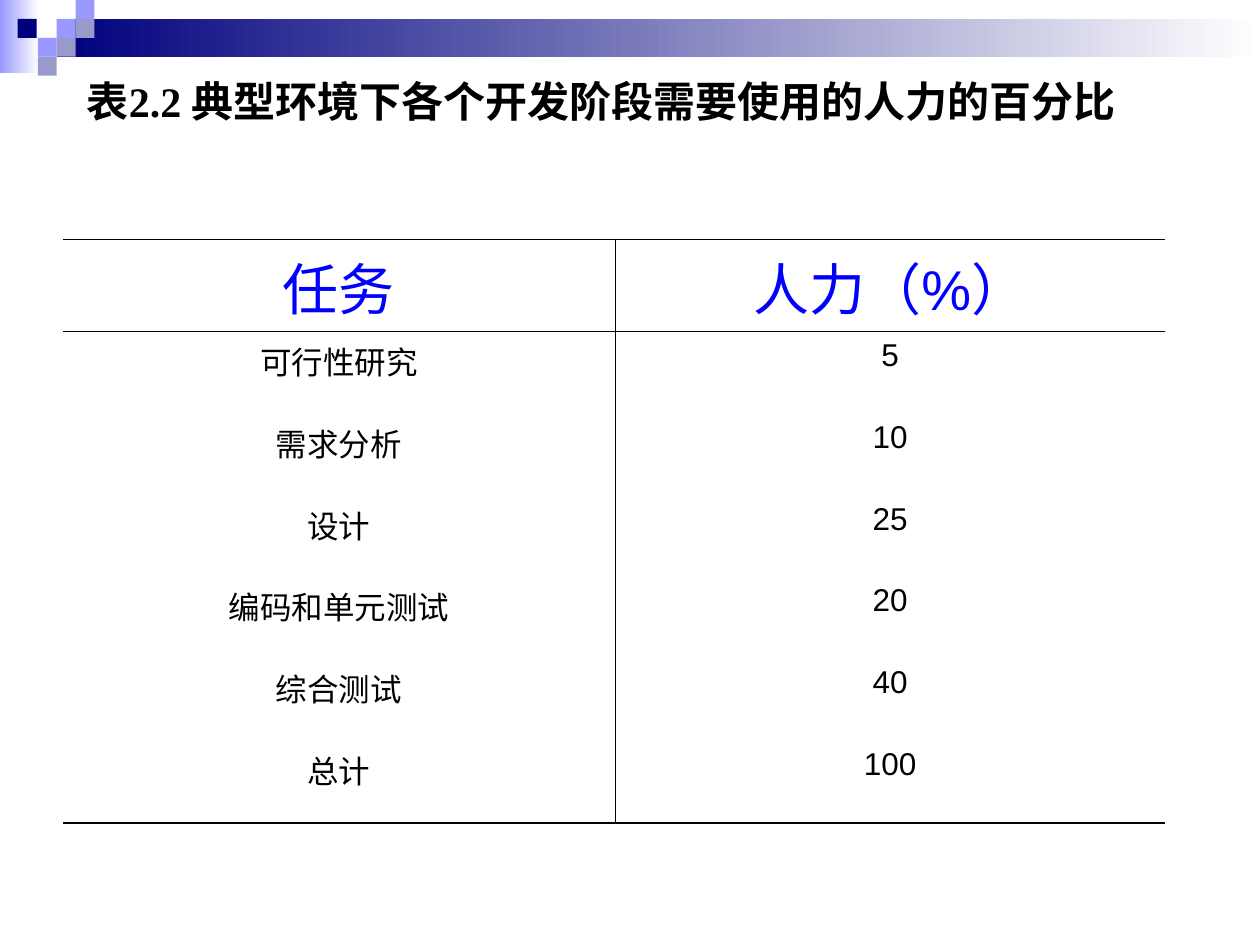
from lxml.etree import SubElement
from pptx import Presentation
from pptx.dml.color import RGBColor
from pptx.enum.shapes import MSO_SHAPE
from pptx.enum.text import MSO_ANCHOR, PP_ALIGN
from pptx.oxml.ns import qn
from pptx.util import Inches, Pt

# Content
TITLE = "表2.2 典型环境下各个开发阶段需要使用的人力的百分比"
ROWS = [
    ("任务", "人力（%）"),
    ("可行性研究", "5"),
    ("需求分析", "10"),
    ("设计", "25"),
    ("编码和单元测试", "20"),
    ("综合测试", "40"),
    ("总计", "100"),
]

# Header decoration: left, top, width, height, colour
NAVY, LILAC, GREY_BLUE = "00007D", "9999FF", "9999CC"
GRADIENT_BARS = [(0, 0, 0.31, 0.58, LILAC), (0.45, 0.15, 9.55, 0.3, NAVY)]
SQUARE = 0.15
SQUARES = [
    (0.45, 0.15, LILAC),
    (0.6, 0, LILAC),
    (0.6, 0.15, GREY_BLUE),
    (0.3, 0.3, LILAC),
    (0.14, 0.15, NAVY),
    (0.45, 0.3, GREY_BLUE),
    (0.3, 0.45, GREY_BLUE),
]

# Table layout
COLUMN_WIDTHS = (4.38, 4.37)
HEADER_HEIGHT, ROW_HEIGHT = 0.73, 0.65
THIN, THICK = 0.45, 1.08


def color(value):
    return RGBColor.from_string(value)


def add_rectangle(slide, left, top, width, height):
    shape = slide.shapes.add_shape(
        MSO_SHAPE.RECTANGLE, Inches(left), Inches(top), Inches(width), Inches(height))
    shape.shadow.inherit = False
    shape.line.fill.background()
    return shape


def add_run(paragraph, text, size, font_name, text_color, bold=False):
    run = paragraph.add_run()
    run.text = text
    run.font.size = Pt(size)
    run.font.name = font_name
    run.font.bold = bold
    run.font.color.rgb = color(text_color)


def set_borders(cell, widths):
    """Draw the sides named in widths (L, R, T, B) and clear the others."""
    properties = cell._tc.get_or_add_tcPr()
    for index, side in enumerate("LRTB"):
        width = widths.get(side)
        line = SubElement(properties, qn(f"a:ln{side}"))
        properties.insert(index, line)
        if width:
            line.set("w", str(Pt(width)))
            fill = SubElement(line, qn("a:solidFill"))
            SubElement(fill, qn("a:srgbClr")).set("val", "000000")
        else:
            SubElement(line, qn("a:noFill"))


def add_decoration(slide):
    for left, top, width, height, start in GRADIENT_BARS:
        fill = add_rectangle(slide, left, top, width, height).fill
        fill.gradient()
        fill.gradient_angle = 0
        for stop, value in zip(fill.gradient_stops, (start, "FFFFFF")):
            stop.color.rgb = color(value)
    for left, top, value in SQUARES:
        fill = add_rectangle(slide, left, top, SQUARE, SQUARE).fill
        fill.solid()
        fill.fore_color.rgb = color(value)


def add_title(slide):
    box = slide.shapes.add_textbox(Inches(0.59), Inches(0.52), Inches(8.98), Inches(0.55))
    frame = box.text_frame
    frame.word_wrap = True
    frame.vertical_anchor = MSO_ANCHOR.MIDDLE
    add_run(frame.paragraphs[0], TITLE, 24, "Times New Roman", "000000", bold=True)


def add_effort_table(slide):
    last = len(ROWS) - 1
    heights = [HEADER_HEIGHT] + [ROW_HEIGHT] * last
    table = slide.shapes.add_table(
        len(ROWS), len(COLUMN_WIDTHS), Inches(0.5), Inches(1.9),
        Inches(sum(COLUMN_WIDTHS)), Inches(sum(heights))).table
    table.first_row = table.horz_banding = False
    for column, width in zip(table.columns, COLUMN_WIDTHS):
        column.width = Inches(width)
    for row_index, (texts, height) in enumerate(zip(ROWS, heights)):
        table.rows[row_index].height = Inches(height)
        size, text_color = (32, "0000FF") if row_index == 0 else (18, "000000")
        for column_index, text in enumerate(texts):
            cell = table.cell(row_index, column_index)
            cell.fill.background()
            paragraph = cell.text_frame.paragraphs[0]
            paragraph.alignment = PP_ALIGN.CENTER
            add_run(paragraph, text, size, "Arial", text_color)
            # Rules: column divider, line under the header, thick outer lines
            borders = {"R" if column_index == 0 else "L": THIN}
            if row_index <= 1:
                borders["T"] = THICK if row_index == 0 else THIN
            if row_index in (0, last):
                borders["B"] = THIN if row_index == 0 else THICK
            set_borders(cell, borders)


def main():
    presentation = Presentation()
    presentation.slide_width, presentation.slide_height = Inches(10), Inches(7.5)
    slide = presentation.slides.add_slide(presentation.slide_layouts[6])
    add_decoration(slide)
    add_title(slide)
    add_effort_table(slide)
    presentation.save("out.pptx")


if __name__ == "__main__":
    main()
